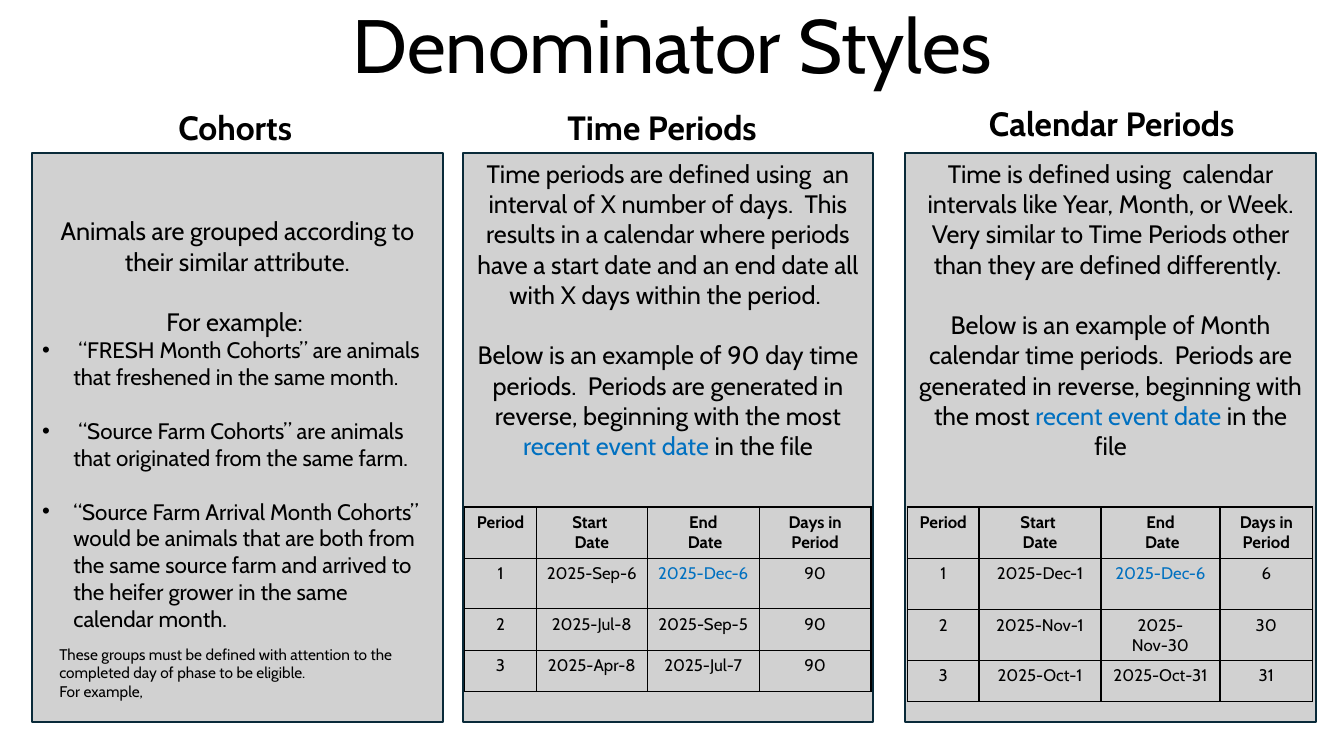
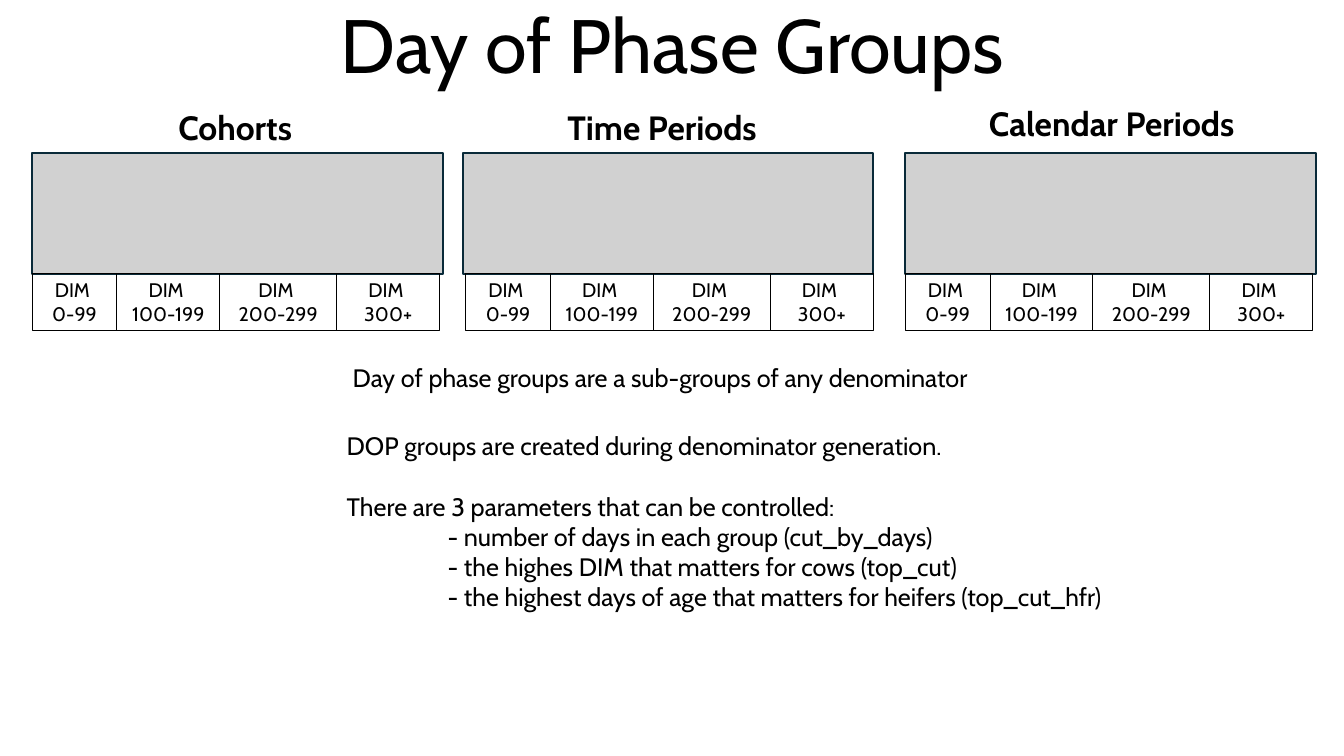
from dataclasses import dataclass
from itertools import accumulate

from lxml import etree
from pptx import Presentation
from pptx.dml.color import RGBColor
from pptx.enum.shapes import MSO_SHAPE
from pptx.enum.text import MSO_ANCHOR, MSO_AUTO_SIZE, PP_ALIGN
from pptx.oxml.ns import qn
from pptx.util import Inches, Pt

RECT = MSO_SHAPE.RECTANGLE
TOP, MIDDLE, BOTTOM = MSO_ANCHOR.TOP, MSO_ANCHOR.MIDDLE, MSO_ANCHOR.BOTTOM
LEFT, CENTER = PP_ALIGN.LEFT, PP_ALIGN.CENTER

FONT = "Cabin"
COLORS = {
    "ink": "000000",
    "blue": "0070C0",
    "card": "D1D1D1",
    "edge": "092A39",
}
CARD_TOP, CARD_WIDTH = 1.52, 4.07
LINE_18, LINE_16 = 21.6, 19.2  # one line of text, in points


@dataclass(frozen=True)
class Run:
    text: str
    color: str = "ink"


@dataclass(frozen=True)
class Para:
    runs: tuple[Run, ...]
    size: float = 18
    align: PP_ALIGN = LEFT
    bold: bool = False
    gap: float = 0
    left: float = 0
    bullet: bool = False


@dataclass(frozen=True)
class Column:
    left: float
    head: str
    head_left: float
    head_top: float
    head_width: float
    dim_left: float


@dataclass(frozen=True)
class Grid:
    left: float
    widths: tuple[float, ...]
    heights: tuple[float, ...]
    rows: tuple[tuple[str, ...], ...]


COLUMNS = (
    Column(0.32, "Cohorts", 1.67, 1.01, 1.51, 0.32),
    Column(4.59, "Time Periods", 5.53, 1.01, 2.18, 4.62),
    Column(8.98, "Calendar Periods", 9.71, 0.97, 2.84, 8.98),
)
HEADS = ("Period", "Start \nDate", "End\n Date", "Days in Period")
RECENT = "2025-Dec-6"
GRIDS = (
    Grid(4.61, (0.71, 1.1, 1.11, 1.11), (0.51, 0.5, 0.41, 0.41), (
        ("1", "2025-Sep-6", RECENT, "90"),
        ("2", "2025-Jul-8", "2025-Sep-5", "90"),
        ("3", "2025-Apr-8", "2025-Jul-7", "90"),
    )),
    Grid(9, (0.71, 1.21, 1.18, 0.92), (0.51, 0.51, 0.5, 0.41), (
        ("1", "2025-Dec-1", RECENT, "6"),
        ("2", "2025-Nov-1", "2025-Nov-30", "30"),
        ("3", "2025-Oct-1", "2025-Oct-31", "31"),
    )),
)
DIM_WIDTHS = (0.84, 1.02, 1.16, 1.02)
DIM_SPANS = ("0-99", "100-199", "200-299", "300+")


def plain(text: str, size: float = 18, align: PP_ALIGN = LEFT,
          bold: bool = False, gap: float = 0, left: float = 0,
          color: str = "ink") -> Para:
    return Para((Run(text, color),), size, align, bold, gap, left)


def point(text: str, gap: float = 0) -> Para:
    return Para((Run(text),), 16, gap=gap, left=0.31, bullet=True)


def period(intro: str, sample: str) -> list[Para]:
    """Text of a card that defines a kind of period."""
    tail = (Run(sample), Run("recent event date ", "blue"), Run("in the file"))
    return [plain(intro, align=CENTER),
            Para(tail, align=CENTER, gap=LINE_18)]


CARD_TEXTS = (
    [
        plain("Animals are grouped according to their similar attribute.",
              align=CENTER),
        plain("For example: ", align=CENTER, gap=LINE_18),
        point(" “FRESH Month Cohorts” are animals that freshened in the "
              "same month."),
        point(" “Source Farm Cohorts” are animals that originated from the "
              "same farm.", LINE_16),
        point("“Source Farm Arrival Month Cohorts” would be animals that are "
              "both from the same source farm and arrived to the heifer "
              "grower in the same calendar month.", LINE_16),
    ],
    period(
        "Time periods are defined using  an interval of X number of days.  "
        "This results in a calendar where periods have a start date and an "
        "end date all with X days within the period. ",
        "Below is an example of 90 day time periods.  Periods are generated "
        "in reverse, beginning with the most "),
    period(
        "Time is defined using  calendar intervals like Year, Month, or Week. "
        "Very similar to Time Periods other than they are defined "
        "differently. ",
        "Below is an example of Month calendar time periods.  Periods are "
        "generated in reverse, beginning with the most "),
)


def rgb(name: str) -> RGBColor:
    return RGBColor.from_string(COLORS[name])


def write(frame, paras: list[Para], anchor: MSO_ANCHOR = TOP) -> None:
    frame.word_wrap = True
    frame.vertical_anchor = anchor
    for i, item in enumerate(paras):
        para = frame.add_paragraph() if i else frame.paragraphs[0]
        para.alignment = item.align
        if item.gap:
            para.space_before = Pt(item.gap)
        if item.left:
            props = para._p.get_or_add_pPr()
            props.set("marL", str(Inches(item.left)))
            if item.bullet:
                props.set("indent", str(-Inches(item.left)))
                etree.SubElement(props, qn("a:buFont"), typeface="Arial")
                etree.SubElement(props, qn("a:buChar"), char="•")
        for part in item.runs:
            run = para.add_run()
            run.text = part.text
            run.font.name = FONT
            run.font.size = Pt(item.size)
            run.font.bold = item.bold
            run.font.color.rgb = rgb(part.color)


def add_text(slide, left: float, top: float, width: float, height: float,
             paras: list[Para]) -> None:
    box = slide.shapes.add_textbox(
        Inches(left), Inches(top), Inches(width), Inches(height))
    write(box.text_frame, paras)


def add_box(slide, left: float, top: float, width: float, height: float,
            edge: str, weight: float, fill: str | None = None):
    box = slide.shapes.add_shape(
        RECT, Inches(left), Inches(top), Inches(width), Inches(height))
    box.shadow.inherit = False
    if fill:
        box.fill.solid()
        box.fill.fore_color.rgb = rgb(fill)
    else:
        box.fill.background()
    box.line.color.rgb = rgb(edge)
    box.line.width = Pt(weight)
    return box


def start(deck, title: str, height: float) -> tuple:
    """Add a slide with its title, column heads and cards."""
    slide = deck.slides.add_slide(deck.slide_layouts[5])
    head = slide.shapes.title
    head.left, head.top = Inches(1.67), Inches(0.1)
    head.width, head.height = Inches(10), Inches(0.84)
    write(head.text_frame, [plain(title, 54, CENTER)], BOTTOM)
    head.text_frame.auto_size = MSO_AUTO_SIZE.NONE
    head.text_frame.paragraphs[0].line_spacing = 0.9
    cards = []
    for col in COLUMNS:
        cards.append(add_box(slide, col.left, CARD_TOP, CARD_WIDTH, height,
                             "edge", 1.5, "card"))
        add_text(slide, col.head_left, col.head_top, col.head_width, 0.5,
                 [plain(col.head, 24, bold=True)])
    return slide, cards


def rule(cell) -> None:
    """Draw thin borders on all four sides of a cell."""
    props = cell._tc.get_or_add_tcPr()
    for side in ("lnL", "lnR", "lnT", "lnB"):
        line = etree.SubElement(props, qn(f"a:{side}"), w=str(Pt(1)))
        fill = etree.SubElement(line, qn("a:solidFill"))
        etree.SubElement(fill, qn("a:srgbClr"), val=COLORS["ink"])


def add_grid(slide, grid: Grid) -> None:
    rows = (HEADS, *grid.rows)
    table = slide.shapes.add_table(
        len(rows), len(HEADS), Inches(grid.left), Inches(5.03),
        Inches(sum(grid.widths)), Inches(sum(grid.heights))).table
    table.first_row = table.horz_banding = False
    for col, width in zip(table.columns, grid.widths):
        col.width = Inches(width)
    for r, (texts, height) in enumerate(zip(rows, grid.heights)):
        table.rows[r].height = Inches(height)
        for c, text in enumerate(texts):
            cell = table.cell(r, c)
            rule(cell)
            cell.fill.background()
            color = "blue" if text == RECENT else "ink"
            write(cell.text_frame,
                  [plain(line, 12, CENTER, r == 0, color=color)
                   for line in text.split("\n")])


def add_styles(deck) -> None:
    slide, cards = start(deck, "Denominator Styles", 5.64)
    for card, paras, anchor in zip(cards, CARD_TEXTS, (MIDDLE, TOP, TOP)):
        write(card.text_frame, paras, anchor)
    cards[0].text_frame.margin_bottom = Inches(0.32)
    for grid in GRIDS:
        add_grid(slide, grid)
    add_text(slide, 0.49, 6.35, 3.92, 0.66, [
        plain("These groups must be defined with attention to the completed "
              "day of phase to be eligible.", 11),
        plain("For example,", 11),
    ])


def add_groups(deck) -> None:
    slide, _ = start(deck, "Day of Phase Groups", 1.2)
    for col in COLUMNS:
        lefts = accumulate(DIM_WIDTHS, initial=col.dim_left)
        for left, width, span in zip(lefts, DIM_WIDTHS, DIM_SPANS):
            box = add_box(slide, left, 2.71, width, 0.57, "ink", 0.75)
            write(box.text_frame, [plain("DIM ", 14, CENTER),
                                   plain(span, 14, CENTER)])
    add_text(slide, 3.4, 3.55, 6.56, 0.4, [
        plain("Day of phase groups are a sub-groups of any denominator")])
    add_text(slide, 3.34, 4.22, 7.79, 1.92, [
        plain("DOP groups are created during denominator generation."),
        plain("There are 3 parameters that can be controlled:", gap=LINE_18),
        plain("- number of days in each group (cut_by_days)", left=1),
        plain("- the highes DIM that matters for cows (top_cut)", left=1),
        plain("- the highest days of age that matters for heifers "
              "(top_cut_hfr)", left=1),
    ])


def main() -> None:
    deck = Presentation()
    deck.slide_width, deck.slide_height = Inches(13.33), Inches(7.5)
    add_styles(deck)
    add_groups(deck)
    deck.save("out.pptx")


if __name__ == "__main__":
    main()
